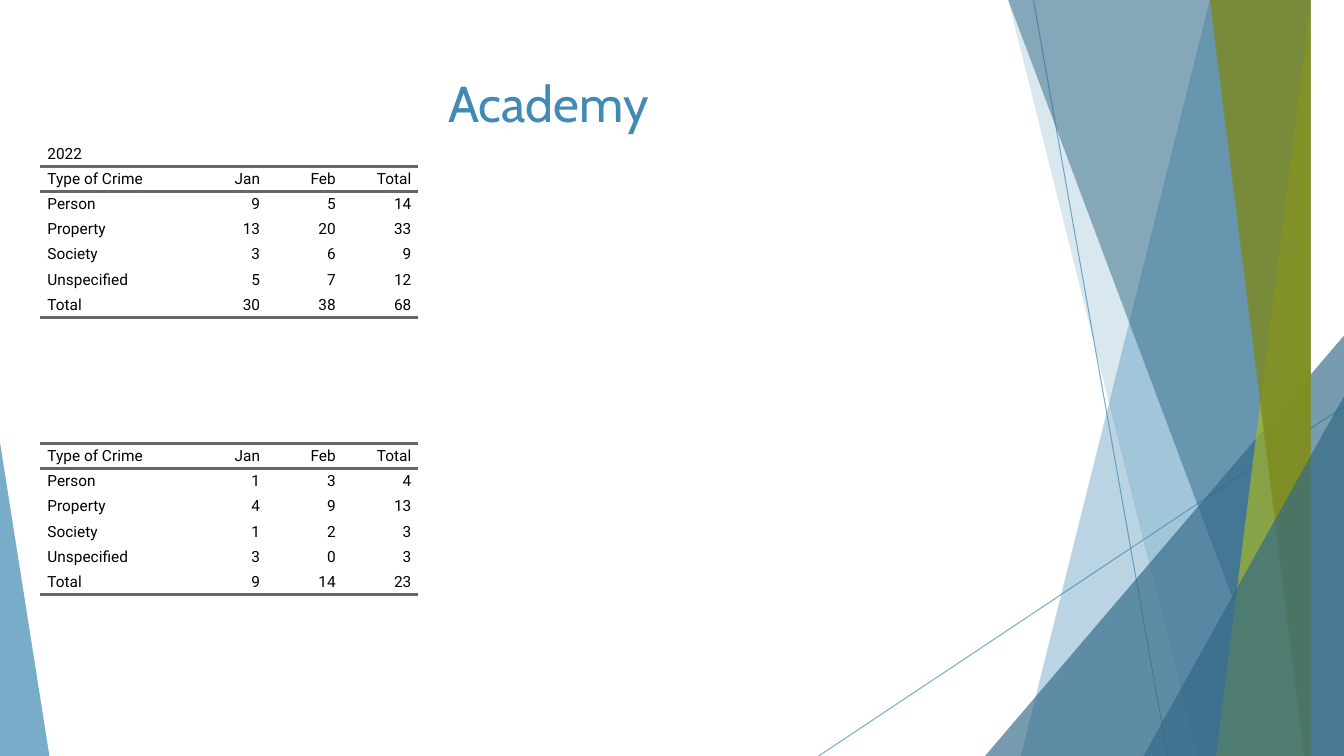
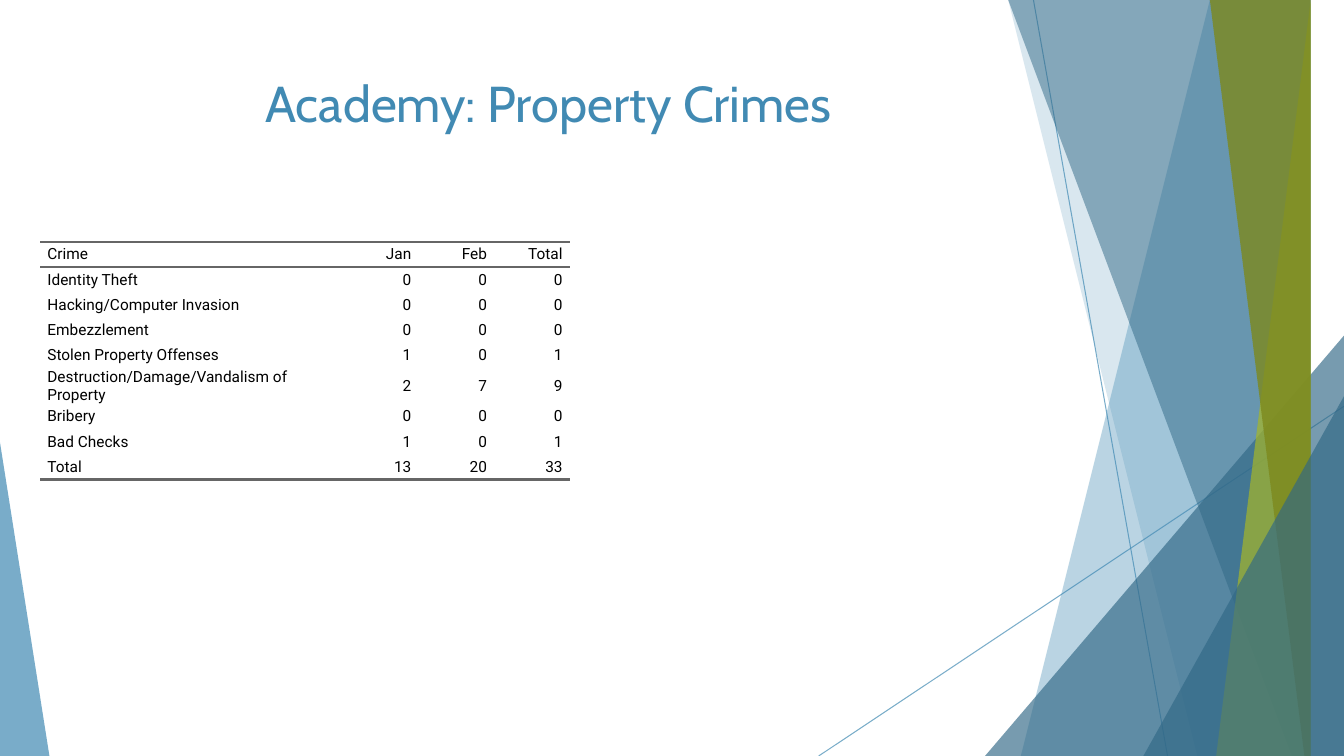
from lxml.etree import SubElement
from pptx import Presentation
from pptx.dml.color import RGBColor as Rgb
from pptx.enum.shapes import MSO_CONNECTOR as Link, MSO_SHAPE as Shape
from pptx.enum.text import MSO_ANCHOR as Anchor, PP_ALIGN as Align
from pptx.oxml.ns import qn
from pptx.oxml import parse_xml
from pptx.util import Inches, Pt

HUES = {
    "blue": "418AB3",
    "navy": "316886",
    "lime": "A6B727",
    "moss": "7D891D",
    "rule": "666666",
    "ink": "000000",
}
WIDE, HIGH = 13.33, 7.5
PAD = 0.07
ROW = 0.25
NUM = 0.75
NS = "http://schemas.openxmlformats.org/drawingml/2006/main"
NO_GRID = "{2D5ABB26-0587-4C30-8999-92F81FD0307C}"

RAYS = [((10.25, 0), (11.58, HIGH)), ((WIDE, 4.03), (8.12, HIGH))]
PANES = [
    ("band", 12.28, 10.04, "blue", 36),
    ("band", 10.5, 11.83, "blue", 20),
    ("peak", (9.77, 3.33, 3.56, 4.17), 1, "navy", 66),
    ("band", 10.21, 12.91, "navy", 50),
    ("band", 13.03, 11.92, "lime", 70),
    ("band", 11.96, 13.18, "moss", 80),
    ("peak", (11.34, 3.93, 1.99, 3.57), 1, "navy", 66),
    ("peak", (0, 4.39, 0.49, 3.11), 0, "blue", 70),
]

HEAD = ("Type of Crime", "Jan", "Feb", "Total")
CAMPUS = [
    ("2022",),
    HEAD,
    ("Person", 9, 5, 14),
    ("Property", 13, 20, 33),
    ("Society", 3, 6, 9),
    ("Unspecified", 5, 7, 12),
    ("Total", 30, 38, 68),
]
SECOND = [
    HEAD,
    ("Person", 1, 3, 4),
    ("Property", 4, 9, 13),
    ("Society", 1, 2, 3),
    ("Unspecified", 3, 0, 3),
    ("Total", 9, 14, 23),
]
CRIMES = [
    ("Crime", *HEAD[1:]),
    ("Identity Theft", 0, 0, 0),
    ("Hacking/Computer Invasion", 0, 0, 0),
    ("Embezzlement", 0, 0, 0),
    ("Stolen Property Offenses", 1, 0, 1),
    ("Destruction/Damage/Vandalism of Property", 2, 7, 9),
    ("Bribery", 0, 0, 0),
    ("Bad Checks", 1, 0, 1),
    ("Total", 13, 20, 33),
]


def hue(name):
    return Rgb.from_string(HUES[name])


def fade(shape, share):
    for clr in shape.element.spPr.iter(qn("a:srgbClr")):
        SubElement(clr, qn("a:alpha"), val=str(share * 1000))


def style(para, font, size, name):
    for run in para.runs:
        run.font.name = font
        run.font.size = Pt(size)
        run.font.color.rgb = hue(name)


def add_ray(slide, start, end):
    ends = [Inches(n) for n in (*start, *end)]
    ray = slide.shapes.add_connector(Link.STRAIGHT, *ends)
    ray.line.color.rgb = hue("blue")
    ray.line.width = Pt(0.75)
    fade(ray, 70)
    SubElement(ray.element.spPr, qn("a:effectLst"))


def tint(shape, name, share):
    shape.shadow.inherit = False
    shape.fill.solid()
    shape.fill.fore_color.rgb = hue(name)
    shape.line.fill.background()
    fade(shape, share)


def add_band(slide, top, foot):
    pen = slide.shapes.build_freeform(top, -0.01, scale=Inches(1))
    pen.add_line_segments([(WIDE, -0.01), (WIDE, HIGH), (foot, HIGH)])
    return pen.convert_to_shape()


def add_peak(slide, box, tip):
    peak = slide.shapes.add_shape(Shape.ISOSCELES_TRIANGLE, *map(Inches, box))
    peak.adjustments[0] = tip
    return peak


def add_art(slide):
    for start, end in RAYS:
        add_ray(slide, start, end)
    makers = {"band": add_band, "peak": add_peak}
    for kind, place, point, name, share in PANES:
        tint(makers[kind](slide, place, point), name, share)


def add_title(slide, text):
    box = slide.shapes.add_textbox(*map(Inches, (0.74, 0.67, 9.4, 1.44)))
    frame = box.text_frame
    frame.word_wrap = True
    frame.text = text
    para = frame.paragraphs[0]
    para.alignment = Align.CENTER
    style(para, "Cabin", 36, "blue")


def add_rules(cell, sides):
    props = cell._tc.get_or_add_tcPr()
    for spot, side in enumerate(sides):
        props.insert(spot, parse_xml(
            f'<a:ln{side} xmlns:a="{NS}" w="{Pt(2)}"><a:solidFill>'
            f'<a:srgbClr val="{HUES["rule"]}"/></a:solidFill></a:ln{side}>'))


def fill_cell(cell, text, align, sides):
    cell.margin_left = cell.margin_right = 0
    cell.margin_top = cell.margin_bottom = 0
    cell.vertical_anchor = Anchor.MIDDLE
    cell.fill.background()
    cell.text_frame.text = str(text)
    para = cell.text_frame.paragraphs[0]
    para.alignment = align
    para.space_before = para.space_after = Pt(5)
    props = para._p.get_or_add_pPr()
    for edge in ("marL", "marR"):
        props.set(edge, str(Inches(PAD)))
    style(para, "Roboto", 11, "ink")
    add_rules(cell, sides)


def add_grid(slide, top, first, rows):
    wides = [first] + [NUM] * 3
    box = (0.4, top, sum(wides), ROW * len(rows))
    frame = slide.shapes.add_table(len(rows), len(wides), *map(Inches, box))
    grid = frame.table
    grid.first_row = grid.horz_banding = False
    grid._tbl.tblPr.find(qn("a:tableStyleId")).text = NO_GRID
    for col, wide in zip(grid.columns, wides):
        col.width = Inches(wide)
    for line in grid.rows:
        line.height = Inches(ROW)
    for r, row in enumerate(rows):
        if len(row) == 1:
            grid.cell(r, 0).merge(grid.cell(r, len(wides) - 1))
        sides = "TB" if "Jan" in row else "B" if row[0] == "Total" else ""
        for c, text in enumerate(row):
            align = Align.RIGHT if c else Align.LEFT
            fill_cell(grid.cell(r, c), text, align, sides)


def add_page(deck, title, grids):
    slide = deck.slides.add_slide(deck.slide_layouts[6])
    add_art(slide)
    for top, first, rows in grids:
        add_grid(slide, top, first, rows)
    add_title(slide, title)


def main():
    deck = Presentation()
    deck.slide_width, deck.slide_height = Inches(WIDE), Inches(HIGH)
    add_page(deck, "Academy", [(1.4, 1.5, CAMPUS), (4.4, 1.5, SECOND)])
    add_page(deck, "Academy: Property Crimes", [(2.4, 3, CRIMES)])
    deck.save("out.pptx")


if __name__ == "__main__":
    main()
